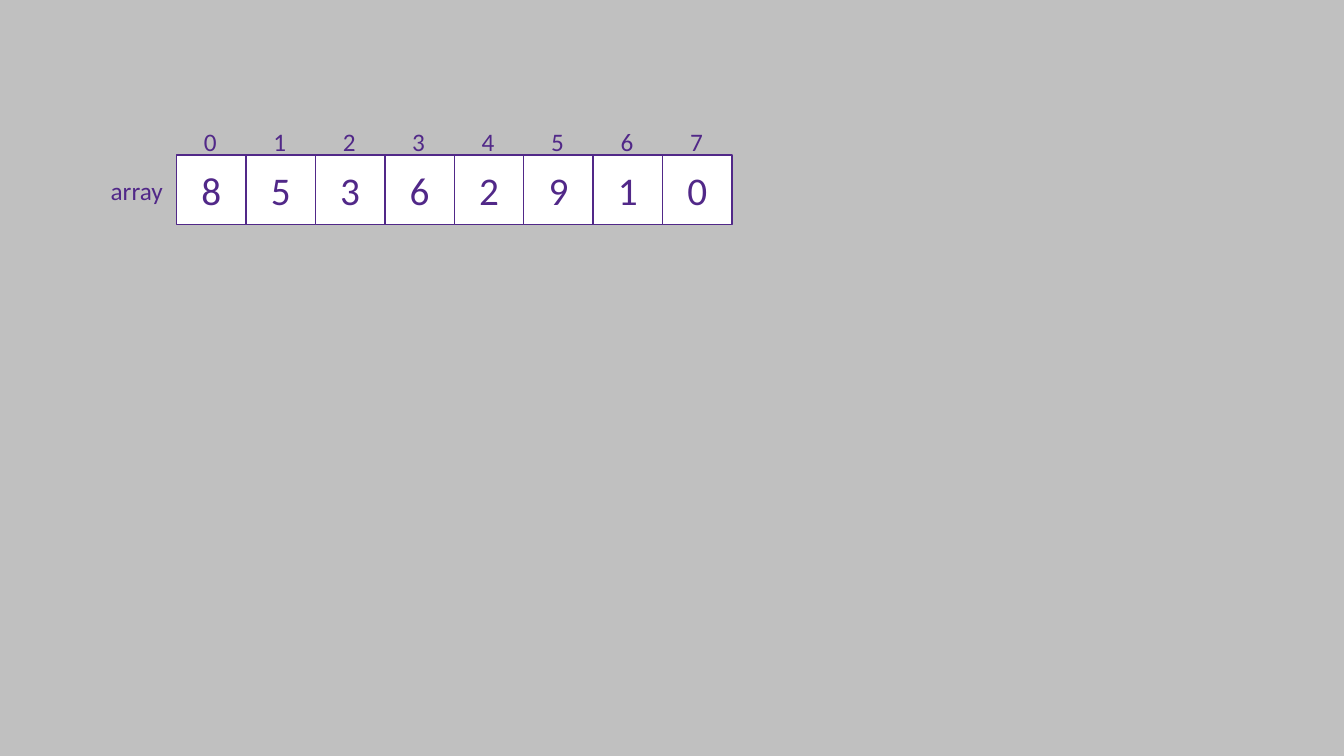
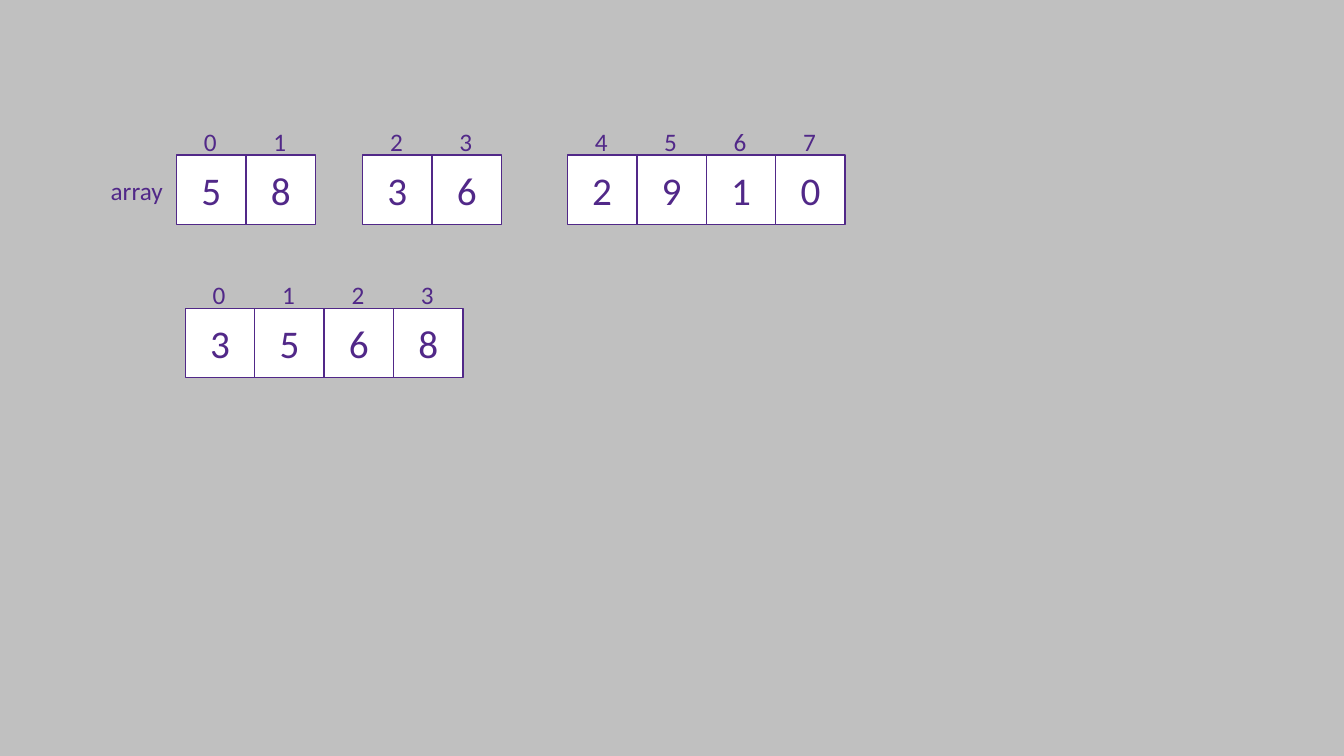
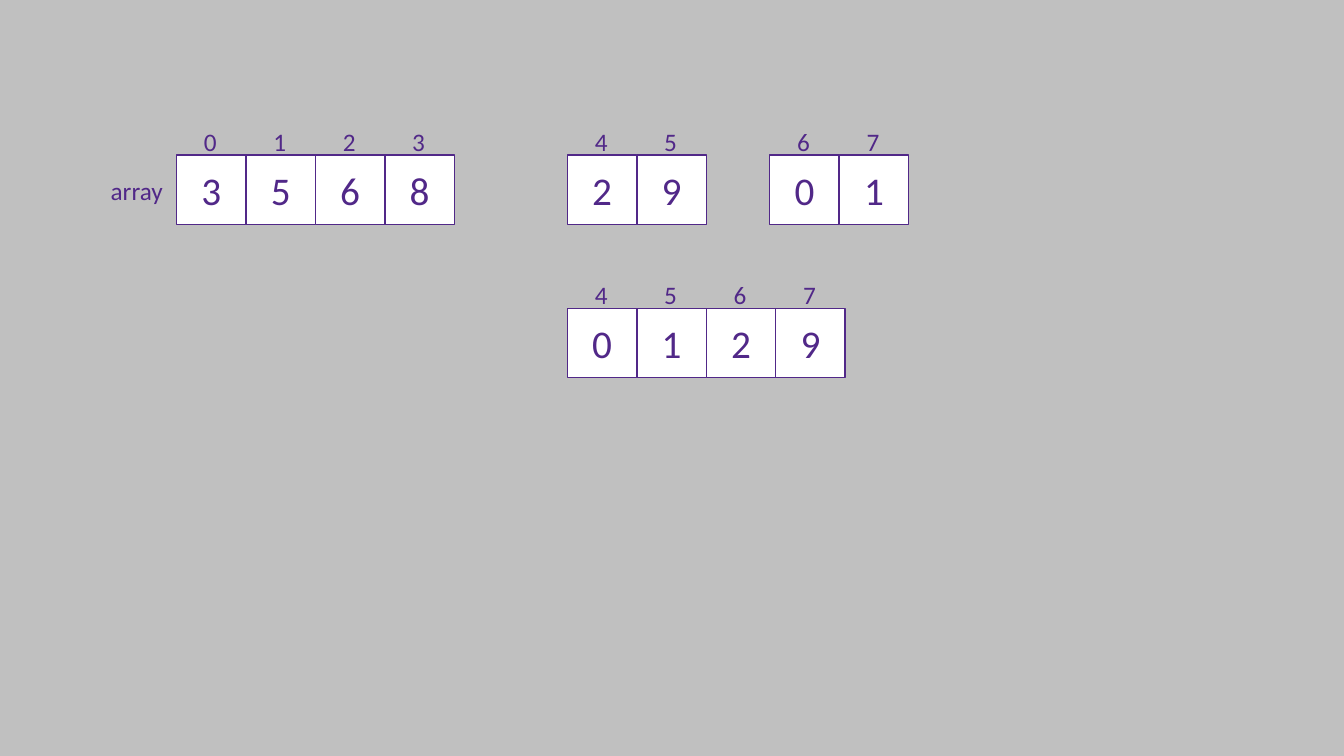
from pptx import Presentation
from pptx.dml.color import RGBColor
from pptx.enum import shapes, text
from pptx.util import Cm, Pt

# Shared style
GREY = RGBColor(0xC0, 0xC0, 0xC0)
WHITE = RGBColor(0xFF, 0xFF, 0xFF)
PURPLE = RGBColor(0x51, 0x28, 0x88)
FONT = "Calibri"

# Shared grid, in cm
CELL = 1.75
LEFT = 4.45
RIGHT = 14.3
TOP = 3.91
LOWER = 7.77

# Each step: runs of cells as (left, top, first index, values)
STEPS = [
    [(LEFT, TOP, 0, "85362910")],
    [
        (LEFT, TOP, 0, "58"),
        (9.14, TOP, 2, "36"),
        (RIGHT, TOP, 4, "2910"),
        (4.67, LOWER, 0, "3568"),
    ],
    [
        (LEFT, TOP, 0, "3568"),
        (RIGHT, TOP, 4, "29"),
        (19.4, TOP, 6, "01"),
        (RIGHT, LOWER, 4, "0129"),
    ],
]


def write(frame, words, size):
    frame.text = words
    font = frame.paragraphs[0].runs[0].font
    font.name = FONT
    font.size = Pt(size)
    font.color.rgb = PURPLE


def label(slide, words, left, top, width):
    box = slide.shapes.add_textbox(Cm(left), Cm(top), Cm(width), Cm(1.02))
    frame = box.text_frame
    frame.word_wrap = False
    frame.auto_size = text.MSO_AUTO_SIZE.SHAPE_TO_FIT_TEXT
    write(frame, words, 18)


def cell(slide, value, left, top):
    box = slide.shapes.add_shape(
        shapes.MSO_SHAPE.RECTANGLE, Cm(left), Cm(top), Cm(CELL), Cm(CELL))
    box.shadow.inherit = False
    box.fill.solid()
    box.fill.fore_color.rgb = WHITE
    box.line.color.rgb = PURPLE
    box.line.width = Pt(1)
    frame = box.text_frame
    frame.vertical_anchor = text.MSO_ANCHOR.MIDDLE
    write(frame, value, 28)
    frame.paragraphs[0].alignment = text.PP_ALIGN.CENTER


def array(slide, left, top, first, values):
    """Draw adjoining cells with their indices above."""
    for i, value in enumerate(values):
        x = left + i * CELL
        cell(slide, value, x, top)
        label(slide, str(first + i), x + 0.44, top - 0.86, 0.84)


def main():
    prs = Presentation()
    prs.slide_width = Cm(33.87)
    prs.slide_height = Cm(19.05)

    # Background for every slide
    fill = prs.slide_master.background.fill
    fill.solid()
    fill.fore_color.rgb = GREY

    # One slide per merge sort step
    blank = prs.slide_layouts.get_by_name("Blank")
    for step in STEPS:
        slide = prs.slides.add_slide(blank)
        label(slide, "array", 2.54, 4.29, 1.83)
        for part in step:
            array(slide, *part)

    prs.save("out.pptx")


if __name__ == "__main__":
    main()
